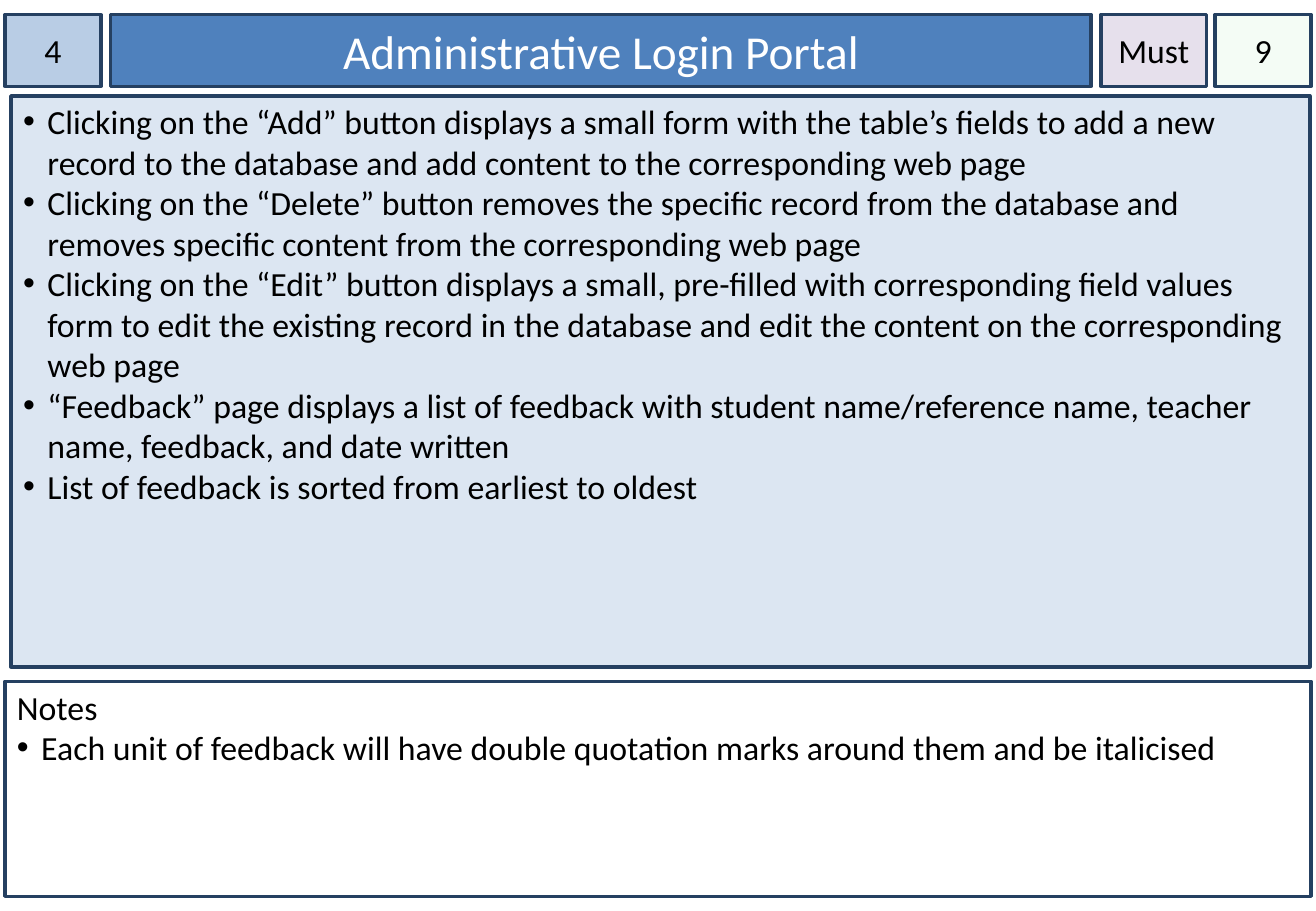
from lxml.etree import SubElement
from pptx import Presentation
from pptx.dml.color import RGBColor
from pptx.enum.shapes import MSO_SHAPE
from pptx.enum.text import MSO_ANCHOR as ANCHOR, MSO_AUTO_SIZE as AUTO_SIZE, PP_ALIGN as ALIGN
from pptx.oxml.ns import qn
from pptx.util import Inches, Pt

NAVY = RGBColor(0x25, 0x40, 0x61)
BLUE = RGBColor(0x4F, 0x81, 0xBD)
SKY = RGBColor(0xB9, 0xCD, 0xE5)
PALE_BLUE = RGBColor(0xDC, 0xE6, 0xF2)
LILAC = RGBColor(0xE6, 0xE0, 0xEC)
MINT = RGBColor(0xCC, 0xF0, 0xCD)
WHITE = RGBColor(0xFF, 0xFF, 0xFF)
BLACK = RGBColor(0, 0, 0)

# Header row and the edges of the card
ROW_TOP, ROW_HEIGHT = 0.12, 0.59
EDGE, CARD_WIDTH = 0.04, 10.75
BADGE_WIDTH = 0.79


def style_box(box, left, top, width, height, fill, insets, anchor):
    box.left, box.top = Inches(left), Inches(top)
    box.width, box.height = Inches(width), Inches(height)
    box.fill.solid()
    box.fill.fore_color.rgb = fill
    box.line.color.rgb = NAVY
    box.line.width = Pt(2)
    frame = box.text_frame
    frame.word_wrap = True
    frame.auto_size = AUTO_SIZE.NONE
    frame.vertical_anchor = anchor
    side, upper = insets
    frame.margin_left = frame.margin_right = Inches(side)
    frame.margin_top, frame.margin_bottom = Inches(upper), Inches(0.05)
    return frame


def write(paragraph, text, size=20, color=BLACK, align=ALIGN.LEFT, bullet=False):
    if bullet:
        properties = paragraph._p.get_or_add_pPr()
        properties.set("marL", str(Inches(0.2)))
        properties.set("indent", str(-Inches(0.2)))
        SubElement(properties, qn("a:buFont")).set("typeface", "Arial")
        SubElement(properties, qn("a:buChar")).set("char", "•")
    paragraph.alignment = align
    paragraph.space_before = Pt(0)
    run = paragraph.add_run()
    run.text = text
    run.font.name = "Calibri"
    run.font.size = Pt(size)
    run.font.color.rgb = color


deck = Presentation()
deck.slide_width, deck.slide_height = Inches(10.83), Inches(7.5)
slide = deck.slides.add_slide(deck.slide_layouts[1])
title, story = slide.placeholders

# Story title
title_frame = style_box(title, 0.91, ROW_TOP, 8.07, ROW_HEIGHT, BLUE, (0.1, 0.05), ANCHOR.MIDDLE)
write(title_frame.paragraphs[0], "Administrative Login Portal", 28, WHITE, ALIGN.CENTER)

# Story number, priority and estimate
badges = [
    ("4", EDGE, BADGE_WIDTH, SKY),
    ("Must", 9.06, 0.87, LILAC),
    ("9", EDGE + CARD_WIDTH - BADGE_WIDTH, BADGE_WIDTH, MINT),
]
for label, left, width, fill in badges:
    badge = slide.shapes.add_shape(MSO_SHAPE.RECTANGLE, 0, 0, 0, 0)
    badge.shadow.inherit = False
    badge_frame = style_box(badge, left, ROW_TOP, width, ROW_HEIGHT, fill, (0, 0.05), ANCHOR.MIDDLE)
    write(badge_frame.paragraphs[0], label, align=ALIGN.CENTER)
    if fill == MINT:
        tint = badge._element.spPr.find(qn("a:solidFill")).find(qn("a:srgbClr"))
        SubElement(tint, qn("a:alpha")).set("val", "20000")

# Story details
details = [
    "Clicking on the “Add” button displays a small form with the table’s fields to add a new "
    "record to the database and add content to the corresponding web page",
    "Clicking on the “Delete” button removes the specific record from the database and "
    "removes specific content from the corresponding web page",
    "Clicking on the “Edit” button displays a small, pre-filled with corresponding field values "
    "form to edit the existing record in the database and edit the content on the corresponding "
    "web page",
    "“Feedback” page displays a list of feedback with student name/reference name, teacher "
    "name, feedback, and date written",
    "List of feedback is sorted from earliest to oldest",
]
story_frame = style_box(story, 0.09, 0.79, 10.69, 4.7, PALE_BLUE, (0.1, 0.04), ANCHOR.TOP)
for index, detail in enumerate(details):
    paragraph = story_frame.add_paragraph() if index else story_frame.paragraphs[0]
    write(paragraph, detail, bullet=True)

# Notes
notes = slide.shapes.add_shape(MSO_SHAPE.RECTANGLE, 0, 0, 0, 0)
notes.shadow.inherit = False
notes_frame = style_box(notes, EDGE, 5.61, CARD_WIDTH, 1.77, WHITE, (0.1, 0.04), ANCHOR.TOP)
write(notes_frame.paragraphs[0], "Notes")
write(
    notes_frame.add_paragraph(),
    "Each unit of feedback will have double quotation marks around them and be italicised",
    bullet=True,
)

deck.save("out.pptx")
